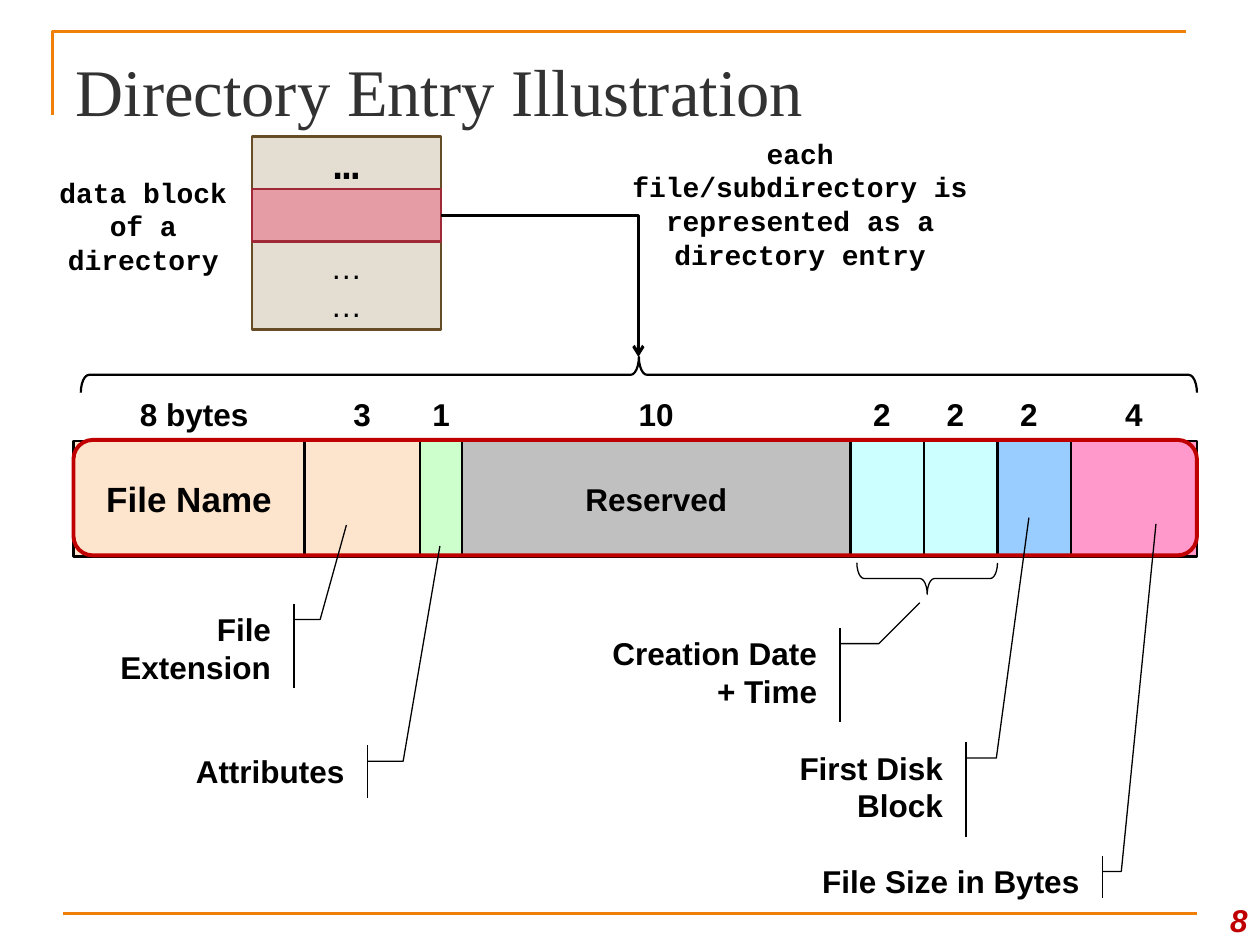
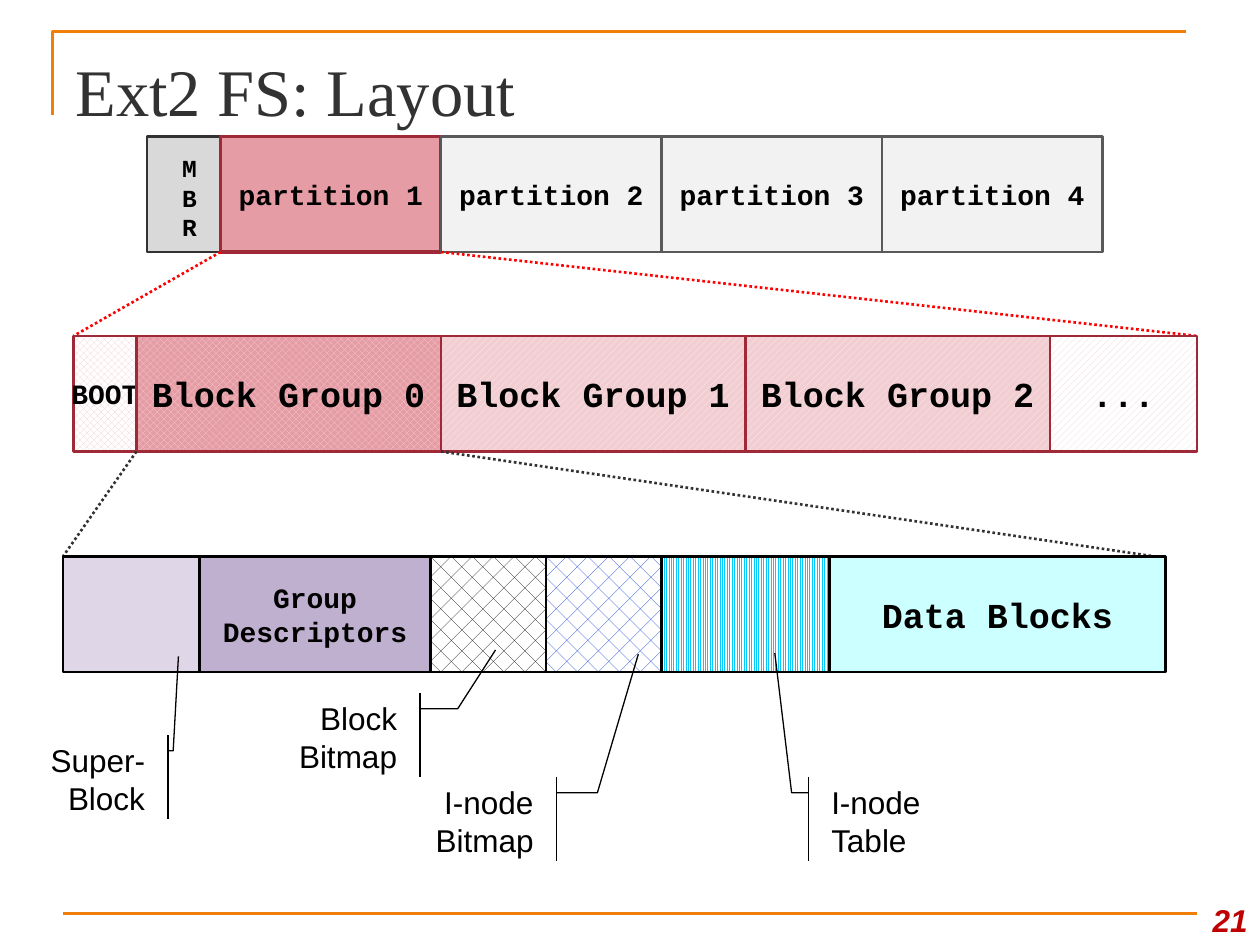
from dataclasses import dataclass

from lxml import etree
from pptx import Presentation
from pptx.dml.color import RGBColor
from pptx.enum.dml import MSO_LINE, MSO_PATTERN
from pptx.enum.shapes import MSO_CONNECTOR, MSO_SHAPE
from pptx.enum.text import MSO_ANCHOR, MSO_AUTO_SIZE, PP_ALIGN
from pptx.oxml.ns import qn
from pptx.util import Emu, Pt

PX = 7620  # EMU in one px, 120 px to the inch
RECT, ROUND = MSO_SHAPE.RECTANGLE, MSO_SHAPE.ROUNDED_RECTANGLE
BRACE, NOTE = MSO_SHAPE.RIGHT_BRACE, MSO_SHAPE.LINE_CALLOUT_2_ACCENT_BAR
LEFT, MID, RIGHT = PP_ALIGN.LEFT, PP_ALIGN.CENTER, PP_ALIGN.RIGHT
TOP, CENTER, BOTTOM = MSO_ANCHOR.TOP, MSO_ANCHOR.MIDDLE, MSO_ANCHOR.BOTTOM
CHECK, STRIPE = MSO_PATTERN.LARGE_CHECKER_BOARD, MSO_PATTERN.WIDE_UPWARD_DIAGONAL
OPEN, DOTS = MSO_PATTERN.OUTLINED_DIAMOND, MSO_PATTERN.DOTTED_DIAMOND
BARS = MSO_PATTERN.LIGHT_VERTICAL


@dataclass(frozen=True)
class Theme:
    sans: str = "Arial"
    mono: str = "Courier New"
    serif: str = "Times New Roman"
    black: str = "000000"
    white: str = "FFFFFF"
    dark: str = "323232"
    orange: str = "F07F09"
    red: str = "C00000"
    bright: str = "FF0000"
    wine: str = "9F2936"
    rose: str = "E69CA4"
    blush: str = "F2CED2"
    sand: str = "E3DED1"
    brown: str = "674D26"
    peach: str = "FDE5CD"
    green: str = "CCFFCC"
    silver: str = "C0C0C0"
    aqua: str = "CCFFFF"
    sky: str = "99CCFF"
    pink: str = "FF99CC"
    pale: str = "F2F2F2"
    gray: str = "595959"
    ash: str = "D9D9D9"
    lilac: str = "DFD7E7"
    violet: str = "BFB0CF"
    blue: str = "0033CC"
    cyan: str = "00CCFF"
    head: int = 38
    mark: int = 24
    big: int = 20
    base: int = 18
    code: int = 16
    small: int = 14
    thin: float = 0.75
    rule: float = 1.5
    thick: float = 2.25


T = Theme()


def rgb(code):
    return RGBColor.from_string(code)


def emu(*sizes):
    return [Emu(round(size * PX)) for size in sizes]


def write(shape, text, size=T.base, font=T.sans, color=T.black, bold=True,
          italic=False, align=MID, anchor=TOP, wrap=True, side=None):
    """Fill a shape with text, one paragraph a line; side is the inset in px."""
    frame = shape.text_frame
    frame.auto_size = MSO_AUTO_SIZE.NONE
    frame.word_wrap = wrap
    frame.vertical_anchor = anchor
    if side is not None:
        frame.margin_left = frame.margin_right = Emu(side * PX)
    frame.text = text
    for para in frame.paragraphs:
        para.alignment = align
        face = para.font
        face.name, face.size = font, Pt(size)
        face.bold, face.italic = bold, italic
        face.color.rgb = rgb(color)


def label(slide, text, box, **form):
    write(slide.shapes.add_textbox(*emu(*box)), text, **form)


def paint(shape, fill, edge, width):
    """Fill is None, a colour, or (pattern, front, back)."""
    shape.shadow.inherit = False
    if fill is None:
        shape.fill.background()
    elif isinstance(fill, str):
        shape.fill.solid()
        shape.fill.fore_color.rgb = rgb(fill)
    else:
        shape.fill.patterned()
        shape.fill.pattern, front, back = fill
        shape.fill.fore_color.rgb = rgb(front)
        shape.fill.back_color.rgb = rgb(back)
    shape.line.color.rgb = rgb(edge)
    shape.line.width = Pt(width)


def draw(slide, kind, box, fill=None, edge=T.black, width=T.rule):
    shape = slide.shapes.add_shape(kind, *emu(*box))
    paint(shape, fill, edge, width)
    return shape


def link(slide, start, end, color, width=T.rule, dash=None, kind=MSO_CONNECTOR.STRAIGHT):
    line = slide.shapes.add_connector(kind, *emu(*start, *end))
    line.line.color.rgb = rgb(color)
    line.line.width = Pt(width)
    if dash:
        line.line.dash_style = dash
    etree.SubElement(line._element.spPr, qn("a:effectLst"))
    return line


def elbow(slide, start, end):
    """Arrow that runs across, then down."""
    line = link(slide, start, end, T.black, 1.75, kind=MSO_CONNECTOR.ELBOW)
    props = line._element.spPr
    props.find(qn("a:prstGeom")).set("prst", "bentConnector2")
    etree.SubElement(props.find(qn("a:ln")), qn("a:tailEnd"), type="arrow")


def brace(slide, box, turn, width):
    """Flat brace within the box: turn 90 points down, 270 points up."""
    x, y, w, h = box
    shape = draw(slide, BRACE, (x + (w - h) / 2, y + (h - w) / 2, h, w), width=width)
    shape.adjustments[0] = 0.23
    shape.rotation = turn


def row(slide, box, cells, **form):
    """Cells side by side: (width, fill, edge, text, own format)."""
    x, y, h = box
    for w, fill, edge, text, own in cells:
        thick = T.thick if fill == T.rose else T.rule
        cell = draw(slide, RECT, (x, y, w, h), fill, edge, thick)
        if text:
            write(cell, text, **{"anchor": CENTER, "wrap": False, **form, **own})
        x += w


def notes(slide, x, y, items, bold):
    """Callouts: (text, box, bend past the side, tip past the side, tip rise, flip)."""
    for text, (left, top, w, h), bend, tip, rise, flip in items:
        shape = draw(slide, NOTE, (x + left, y + top, w, h), width=T.thin)
        ends = ((15, 10), (15, bend), (-rise, tip))
        for i, (down, out) in enumerate(ends):
            shape.adjustments[2 * i] = down / h
            shape.adjustments[2 * i + 1] = 1 + out / w
        if flip:
            shape._element.spPr.find(qn("a:xfrm")).set("flipH", "1")
        write(shape, text, bold=bold, align=LEFT if flip else RIGHT)


def page(deck, title, number):
    slide = deck.slides.add_slide(deck.slide_layouts[5])
    path = slide.shapes.build_freeform(50, 110, scale=PX)
    path.add_line_segments([(50, 30), (1130, 30)], close=False)
    paint(path.convert_to_shape(), None, T.orange, T.rule)
    link(slide, (60, 870), (1140, 870), T.orange)
    head = slide.shapes.title
    head.left, head.top, head.width, head.height = emu(60, 36, 1080, 94)
    write(head, title, size=T.head, font=T.serif, color=T.dark, bold=False,
          align=LEFT, anchor=BOTTOM)
    label(slide, number, (1130, 840, 70, 60), color=T.red, italic=True,
          align=RIGHT, anchor=BOTTOM)
    return slide


def block(slide, x, y):
    """Data block of a directory, with its two captions and the arrow."""
    parts = (
        (0, 50, T.sand, T.brown, "…", {"size": T.mark, "font": T.mono}),
        (100, 84, T.sand, T.brown, "…\n…", {"bold": False}),
        (50, 50, T.rose, T.wine, "", {}),
    )
    for top, h, fill, edge, text, form in parts:
        cell = draw(slide, RECT, (x, y + top, 180, h), fill, edge)
        if text:
            write(cell, text, anchor=CENTER, wrap=False, **form)
    form = {"size": T.code, "font": T.mono}
    label(slide, "data block\nof a directory", (x - 196, y + 31, 185, 109), **form)
    label(slide, "each file/subdirectory is represented as a directory entry",
          (x + 341, y - 6, 362, 142), **form)
    elbow(slide, (x + 180, y + 75), (x + 368, y + 210))


def entry(slide, x, y):
    """Fields of a directory entry with their byte counts and names."""
    # width, fill, name, bytes, offset and width of the count
    fields = (
        (220, T.peach, "File Name", "8 bytes", 20, 190),
        (110, T.peach, "", "3", 10, 90),
        (40, T.green, "", "1", 0, 40),
        (370, T.silver, "Reserved", "10", 0, 370),
        (70, T.aqua, "", "2", 0, 60),
        (70, T.aqua, "", "2", 0, 60),
        (70, T.sky, "", "2", 0, 60),
        (120, T.pink, "", "4", 0, 120),
    )
    row(slide, (x, y, 110), [
        (w, fill, T.black, name, {"size": T.big if name == "File Name" else T.base})
        for w, fill, name, *_ in fields])
    left = x
    for w, _, _, count, shift, span in fields:
        label(slide, count, (left + shift, y - 50, span, 48), side=0)
        left += w
    brace(slide, (x + 7, y - 80, 1063, 34), 270, 1.25)
    brace(slide, (x + 746, y + 116, 134, 30), 90, T.thin)
    draw(slide, ROUND, (x, y - 1, 1070, 110), edge=T.red, width=T.thick)
    notes(slide, x, y, (
        ("File Extension", (20, 155, 180, 80), 35, 60, 75, False),
        ("Attributes", (90, 290, 180, 50), 44, 79, 190, False),
        ("Creation Date + Time", (500, 178, 220, 90), 47, 86, 24, False),
        ("First Disk Block", (610, 287, 230, 90), 39, 70, 214, False),
        ("File Size in Bytes", (680, 395, 290, 40), 28, 61, 316, False),
    ), bold=True)


def disk(slide, x, y):
    cells = [(70, T.ash, T.dark, "", {})]
    for i in range(1, 5):
        fill, edge = (T.rose, T.wine) if i == 1 else (T.pale, T.gray)
        cells.append((210, fill, edge, f"partition {i}", {}))
    row(slide, (x, y, 110), cells, size=T.code, font=T.mono)
    label(slide, "M\nB\nR", (x + 20, y + 10, 41, 96), size=T.small, font=T.mono)


def groups(slide, x, y):
    cells = [(60, (OPEN, T.blush, T.white), T.wine, "BOOT", {"size": T.code})]
    for i in range(3):
        fill = (STRIPE, T.pale, T.blush) if i else (CHECK, T.blush, T.rose)
        cells.append((290, fill, T.wine, f"Block Group {i}", {}))
    cells.append((140, (STRIPE, T.blush, T.white), T.wine, "...", {}))
    row(slide, (x, y, 110), cells, size=T.big, font=T.mono)


def parts(slide, x, y):
    """Parts of one block group with their names."""
    row(slide, (x, y, 110), (
        (130, T.lilac, T.black, "", {}),
        (220, T.violet, T.black, "Group Descriptors", {"size": T.code, "wrap": True}),
        (110, (DOTS, T.black, T.white), T.black, "", {}),
        (110, (DOTS, T.blue, T.white), T.black, "", {}),
        (160, (BARS, T.cyan, T.white), T.black, "", {}),
        (320, T.aqua, T.black, "Data Blocks", {}),
    ), size=T.big, font=T.mono)
    notes(slide, x, y, (
        ("Super-Block", (-30, 170, 120, 80), 15, 20, 75, False),
        ("Block Bitmap", (210, 130, 120, 80), 46, 82, 41, False),
        ("I-node\nBitmap", (340, 210, 120, 80), 49, 88, 117, False),
        ("I-node\nTable", (720, 210, 130, 80), 26, 42, 118, True),
    ), bold=False)


def zoom(slide, high, low, color):
    """Dotted lines from a cell's foot to the row below: each (left, right, y)."""
    for side in (0, 1):
        link(slide, (high[side], high[2]), (low[side], low[2]), color,
             dash=MSO_LINE.ROUND_DOT)


def main():
    deck = Presentation()
    deck.slide_width, deck.slide_height = emu(1200, 900)

    slide = page(deck, "Directory Entry Illustration", "8")
    block(slide, 240, 130)
    entry(slide, 70, 420)

    slide = page(deck, "Ext2 FS: Layout", "21")
    disk(slide, 140, 130)
    zoom(slide, (210, 420, 240), (70, 1140, 320), T.bright)
    groups(slide, 70, 320)
    zoom(slide, (130, 420, 430), (60, 1100, 530), T.dark)
    parts(slide, 60, 530)
    deck.save("out.pptx")


if __name__ == "__main__":
    main()
